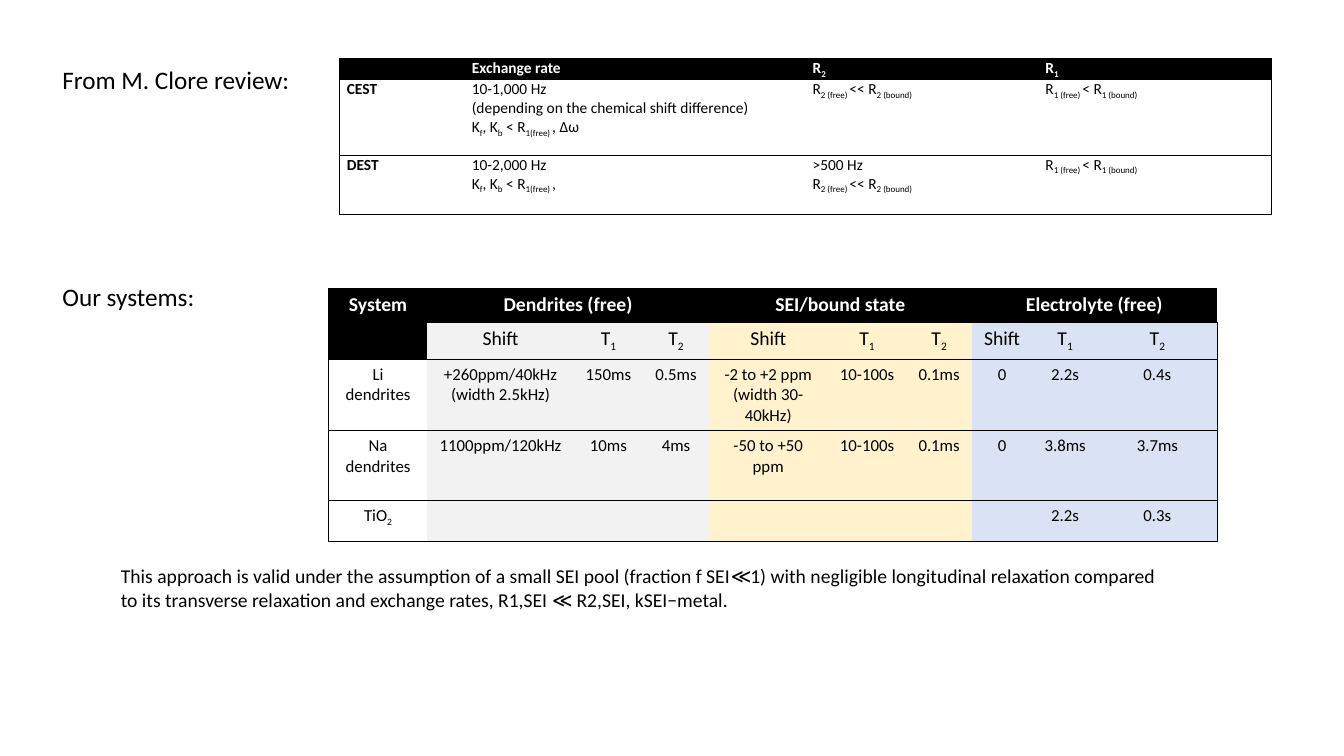
"""Build the slide comparing exchange regimes with our dendrite systems."""
from lxml.etree import SubElement
from pptx import Presentation
from pptx.dml.color import RGBColor
from pptx.enum.text import PP_ALIGN
from pptx.oxml.ns import qn
from pptx.util import Inches, Pt

BLACK, WHITE = "000000", "FFFFFF"
GREY, CREAM, BLUE = "F2F2F2", "FFF2CC", "DAE3F3"
PLAIN = "{2D5ABB26-0587-4C30-8999-92F81FD0307C}"

NOTES = [
    ("From M. Clore review:", (0.52, 0.59, 2.48, 0.71), 18, False),
    ("Our systems:", (0.52, 2.74, 1.52, 0.71), 18, False),
    ("This approach is valid under the assumption of a small SEI pool "
     "(fraction f SEI≪1) with negligible longitudinal relaxation compared "
     "to its transverse relaxation and exchange rates, "
     "R1,SEI ≪ R2,SEI, kSEI−metal.", (1.1, 5.55, 10.51, 0.57), 14, True),
]

# Text between tildes is subscript.
R1 = "R~1 (free) ~< R~1 (bound)~"
R2 = "R~2 (free) ~<< R~2 (bound)~"
RATE = "K~f~, K~b~ < R~1(free) ~, "
REVIEW = [
    ["", "Exchange rate", "R~2~", "R~1~"],
    ["CEST", "10-1,000 Hz\n(depending on the chemical shift difference)\n"
     + RATE + "Δω", R2, R1],
    ["DEST", "10-2,000 Hz\n" + RATE, ">500 Hz\n" + R2, R1],
]
SYSTEMS = [
    ["System", "Dendrites (free)", "", "", "SEI/bound state", "", "",
     "Electrolyte (free)", "", ""],
    [""] + ["Shift", "T~1~", "T~2~"] * 3,
    ["Li dendrites", "+260ppm/40kHz\n(width 2.5kHz)", "150ms", "0.5ms",
     "-2 to +2 ppm\n(width 30-40kHz)", "10-100s", "0.1ms", "0", "2.2s", "0.4s"],
    ["Na dendrites", "1100ppm/120kHz", "10ms", "4ms", "-50 to +50 ppm",
     "10-100s", "0.1ms", "0", "3.8ms", "3.7ms"],
    ["TiO~2~"] + [""] * 7 + ["2.2s", "0.3s"],
]


def color(code):
    return RGBColor.from_string(code)


def write(frame, text, size, ink=BLACK, bold=False, align=PP_ALIGN.LEFT):
    for n, line in enumerate(text.split("\n")):
        par = frame.add_paragraph() if n else frame.paragraphs[0]
        par.alignment = align
        for k, part in enumerate(line.split("~")):
            if not part:
                continue
            run = par.add_run()
            run.text = part
            font = run.font
            font.name, font.size, font.bold = "Calibri", Pt(size), bold
            font.color.rgb = color(ink)
            if k % 2:
                run._r.get_or_add_rPr().set("baseline", "-25000")
        SubElement(par._p, qn("a:endParaRPr"), sz=str(size * 100))


def edge(cell, sides):
    for side in sides:
        line = SubElement(cell._tc.get_or_add_tcPr(), qn("a:ln" + side),
                          w=str(Pt(0.5)))
        fill = SubElement(line, qn("a:solidFill"))
        SubElement(fill, qn("a:srgbClr"), val=BLACK)


def grid(rows, left, top, wide, high, style):
    box = [Inches(v) for v in (left, top, sum(wide), sum(high))]
    table = slide.shapes.add_table(len(rows), len(wide), *box).table
    table._tbl.tblPr.find(qn("a:tableStyleId")).text = PLAIN
    for col, width in zip(table.columns, wide):
        col.width = Inches(width)
    for row, height in zip(table.rows, high):
        row.height = Inches(height)
    last = len(wide) - 1
    for r, row in enumerate(rows):
        for c, text in enumerate(row):
            cell = table.cell(r, c)
            edge(cell, "L" * (c == 0) + "R" * (c == last) + "TB")
            fill, look = style(r, c)
            cell.fill.solid()
            cell.fill.fore_color.rgb = color(fill)
            write(cell.text_frame, text, **look)
    return table


def review(r, c):
    head = r == 0
    return (BLACK if head else WHITE,
            dict(size=11, ink=WHITE if head else BLACK, bold=head or c == 0))


def system(r, c):
    head = r == 0 or (r == 1 and c == 0)
    body = (GREY, CREAM, BLUE)[(c - 1) // 3] if c else WHITE
    return (BLACK if head else body,
            dict(size=14 if r < 2 else 12, ink=WHITE if head else BLACK,
                 bold=head, align=PP_ALIGN.CENTER))


deck = Presentation()
deck.slide_width, deck.slide_height = Inches(13.33), Inches(7.5)
slide = deck.slides.add_slide(deck.slide_layouts[6])

for text, place, size, wrap in NOTES:
    frame = slide.shapes.add_textbox(*map(Inches, place)).text_frame
    frame.word_wrap = wrap
    write(frame, text, size)

table = grid(REVIEW, 3.37, 0.58, [1.24, 3.38, 2.31, 2.31],
             [0.21, 0.75, 0.59], review)
for cell in table.iter_cells():
    cell.margin_left = cell.margin_right = Inches(0.07)
    cell.margin_top = cell.margin_bottom = 0

table = grid(SYSTEMS, 3.26, 2.86,
             [0.98, 1.45, 0.69, 0.65, 1.18, 0.78, 0.65, 0.6, 0.65, 1.18],
             [0.33, 0.37, 0.71, 0.69, 0.41], system)
table.cell(0, 0).merge(table.cell(1, 0))
for c in (1, 4, 7):
    table.cell(0, c).merge(table.cell(0, c + 2))

deck.save("out.pptx")
